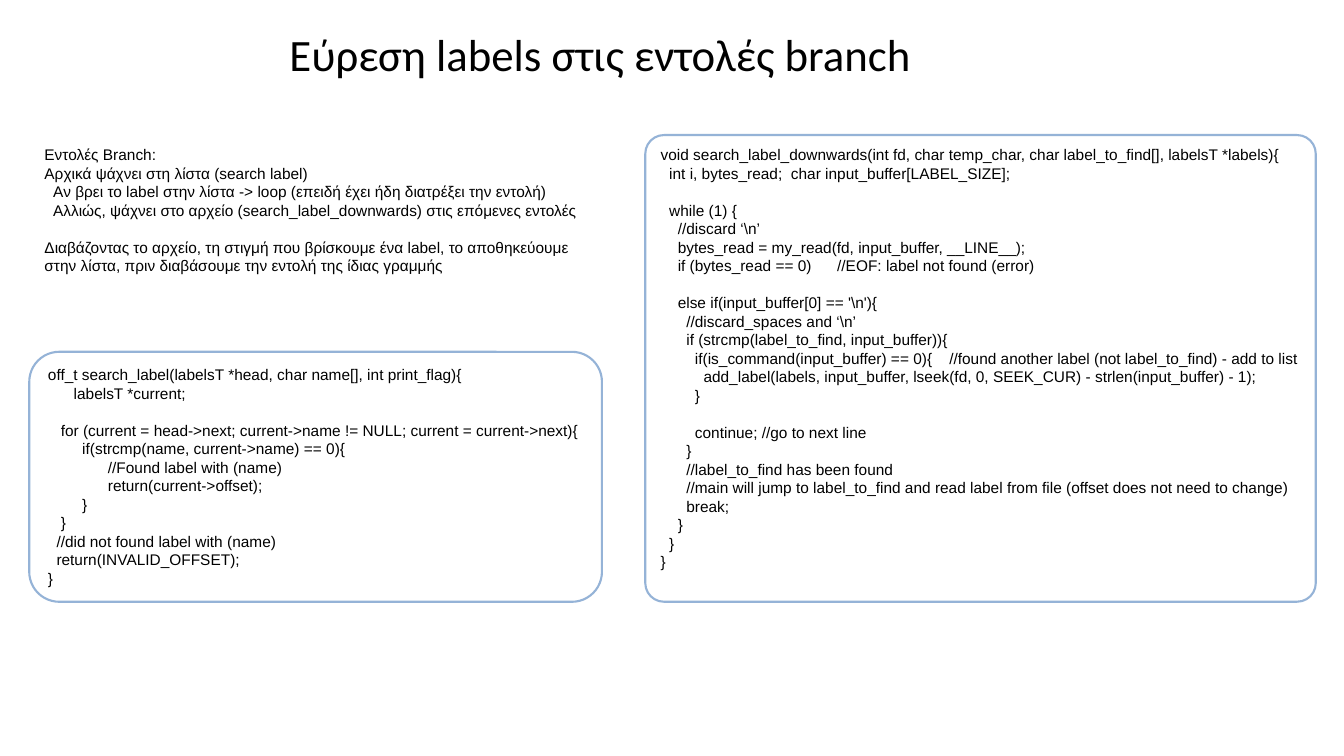
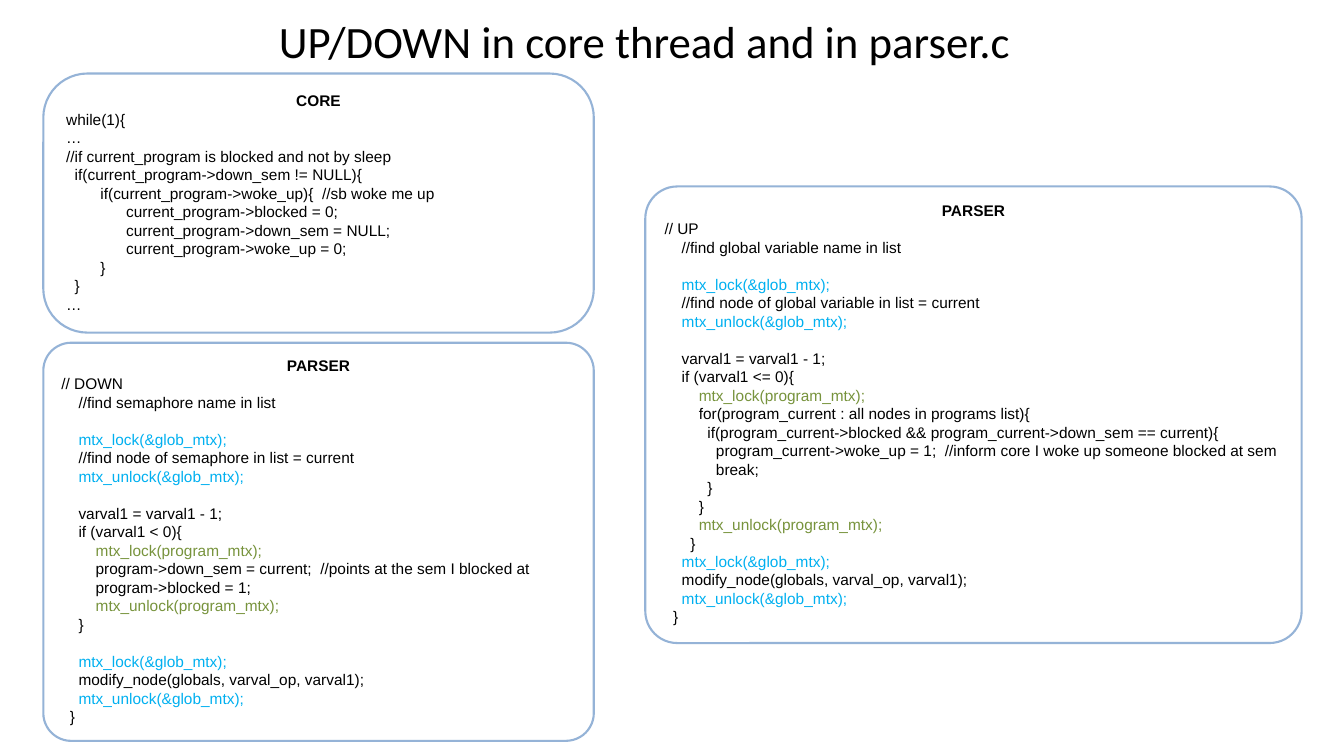
import pptx
import pptx.util
import pptx.dml.color
import pptx.enum.shapes
import pptx.enum.text

BLACK = pptx.dml.color.RGBColor(0x00, 0x00, 0x00)
EDGE = pptx.dml.color.RGBColor(0x95, 0xB3, 0xD7)
BLUE = pptx.dml.color.RGBColor(0x00, 0xB0, 0xF0)
GREEN = pptx.dml.color.RGBColor(0x77, 0x93, 0x3C)
ALIGN = pptx.enum.text.PP_ALIGN
ANCHOR = pptx.enum.text.MSO_ANCHOR
FIT = pptx.enum.text.MSO_AUTO_SIZE
STEP = 0.0425
GAP = 13.2

BRANCH = """Εντολές Branch:
Αρχικά ψάχνει στη λίστα (search label)
  Aν βρει το label στην λίστα -> loop (επειδή έχει ήδη διατρέξει την εντολή)
  Αλλιώς, ψάχνει στο αρχείο (search_label_downwards) στις επόμενες εντολές

Διαβάζοντας το αρχείο, τη στιγμή που βρίσκουμε ένα label, το αποθηκεύουμε στην λίστα, πριν διαβάσουμε την εντολή της ίδιας γραμμής"""

SEARCH = """off_t search_label(labelsT *head, char name[], int print_flag){
      labelsT *current;

   for (current = head->next; current->name != NULL; current = current->next){
        if(strcmp(name, current->name) == 0){
              //Found label with (name)
              return(current->offset);
        }
   }
  //did not found label with (name)
  return(INVALID_OFFSET);
}"""

READ = r"""void search_label_downwards(int fd, char temp_char, char label_to_find[], labelsT *labels){
  int i, bytes_read;  char input_buffer[LABEL_SIZE];

  while (1) {
    //discard ‘\n’
    bytes_read = my_read(fd, input_buffer, __LINE__);
    if (bytes_read == 0)      //EOF: label not found (error)
"""

MATCH = r"""    else if(input_buffer[0] == '\n'){
      //discard_spaces and ‘\n’
      if (strcmp(label_to_find, input_buffer)){
        if(is_command(input_buffer) == 0){    //found another label (not label_to_find) - add to list
          add_label(labels, input_buffer, lseek(fd, 0, SEEK_CUR) - strlen(input_buffer) - 1);
        }

        continue; //go to next line
      }
      //label_to_find has been found
      //main will jump to label_to_find and read label from file (offset does not need to change)
      break;
    }
  }
}"""

CORE = """while(1){
…
//if current_program is blocked and not by sleep
  if(current_program->down_sem != NULL){
        if(current_program->woke_up){  //sb woke me up
              current_program->blocked = 0;
              current_program->down_sem = NULL;
              current_program->woke_up = 0;
        }
  }
…"""

DOWN = """        program->down_sem = current;  //points at the sem I blocked at
        program->blocked = 1;"""

UP = """        for(program_current : all nodes in programs list){
          if(program_current->blocked && program_current->down_sem == current){
            program_current->woke_up = 1;  //inform core I woke up someone blocked at sem
            break;
          }
        }"""


def guard(body, lock, depth):
    pad = " " * depth
    return f"{pad}mtx_lock({lock});\n{body}\n{pad}mtx_unlock({lock});"


def parser(mode, name, test, body, close):
    find = guard(f"    //find node of {name} in list = current", "&glob_mtx", 4)
    save = guard("    modify_node(globals, varval_op, varval1);", "&glob_mtx", 4)
    return "\n".join([
        f"// {mode}", f"    //find {name} name in list", "", find, "",
        "    varval1 = varval1 - 1;", f"    if (varval1 {test} 0){{",
        guard(body, "program_mtx", 8), close, save, "  }"])


def style(para, size, color, font="Arial", bold=False):
    for run in para.runs:
        run.font.size = pptx.util.Pt(size)
        run.font.name = font
        run.font.bold = bold
        run.font.color.rgb = color


def hue(line):
    if not line.startswith("mtx_"):
        return BLACK
    return BLUE if "glob_mtx" in line else GREEN


def add_slide(deck, text, box):
    slide = deck.slides.add_slide(deck.slide_layouts[5])
    title = slide.shapes.title
    title.left, title.top, title.width, title.height = map(pptx.util.Inches, box)
    frame = title.text_frame
    frame.text = text
    frame.auto_size = FIT.NONE
    frame.vertical_anchor = ANCHOR.MIDDLE
    para = frame.paragraphs[0]
    para.alignment = ALIGN.CENTER
    para.line_spacing = 0.9
    style(para, 32, BLACK, "Calibri")
    return slide


def fill_code(frame, code, head):
    para = frame.paragraphs[0]
    fresh = True
    if head:
        para.text = head
        para.alignment = ALIGN.CENTER
        style(para, 11, BLACK, bold=True)
        fresh = False
    gap = 0
    for line in code.split("\n"):
        text = line.lstrip()
        if not text:
            gap += GAP
            continue
        if not fresh:
            para = frame.add_paragraph()
        fresh = False
        para.text = text
        para.alignment = ALIGN.LEFT
        para.space_before = pptx.util.Pt(gap)
        gap = 0
        left = pptx.util.Inches(STEP * (len(line) - len(text)))
        props = para._p.get_or_add_pPr()
        props.set("marL", str(left))
        props.set("indent", "0")
        style(para, 11, hue(text))


def add_panel(slide, box, curve, code, head="", edge=True):
    kind = pptx.enum.shapes.MSO_SHAPE.ROUNDED_RECTANGLE
    panel = slide.shapes.add_shape(kind, *map(pptx.util.Inches, box))
    panel.adjustments[0] = curve
    panel.shadow.inherit = False
    panel.fill.background()
    if edge:
        panel.line.color.rgb = EDGE
        panel.line.width = pptx.util.Pt(1.5)
    else:
        panel.line.fill.background()
    frame = panel.text_frame
    frame.word_wrap = True
    frame.auto_size = FIT.SHAPE_TO_FIT_TEXT
    frame.vertical_anchor = ANCHOR.TOP
    fill_code(frame, code, head)


def add_labels(deck):
    slide = add_slide(deck, "Εύρεση labels στις εντολές branch", (0.45, 0.26, 11.01, 0.61))
    add_panel(slide, (0.29, 3.49, 5.68, 2.48), 0.12, SEARCH)
    add_panel(slide, (6.4, 1.34, 6.65, 4.63), 0.04, "\n".join([READ, MATCH]))
    add_panel(slide, (0.29, 1.34, 5.68, 1.49), 0.12, BRANCH, edge=False)


def add_threads(deck):
    slide = add_slide(deck, "UP/DOWN in core thread and in parser.c", (0.89, 0.13, 11.01, 0.61))
    down = parser("DOWN", "semaphore", "<", DOWN, "    }\n")
    up = parser("UP", "global variable", "<=", UP, "      }")
    add_panel(slide, (0.43, 0.73, 5.46, 2.57), 0.17, CORE, "CORE")
    add_panel(slide, (0.43, 3.4, 5.46, 3.95), 0.07, down, "PARSER")
    add_panel(slide, (6.4, 1.85, 6.51, 4.53), 0.07, up, "PARSER")


def main():
    deck = pptx.Presentation()
    deck.slide_width = pptx.util.Inches(13.33)
    deck.slide_height = pptx.util.Inches(7.5)
    add_labels(deck)
    add_threads(deck)
    deck.save("out.pptx")


main()
